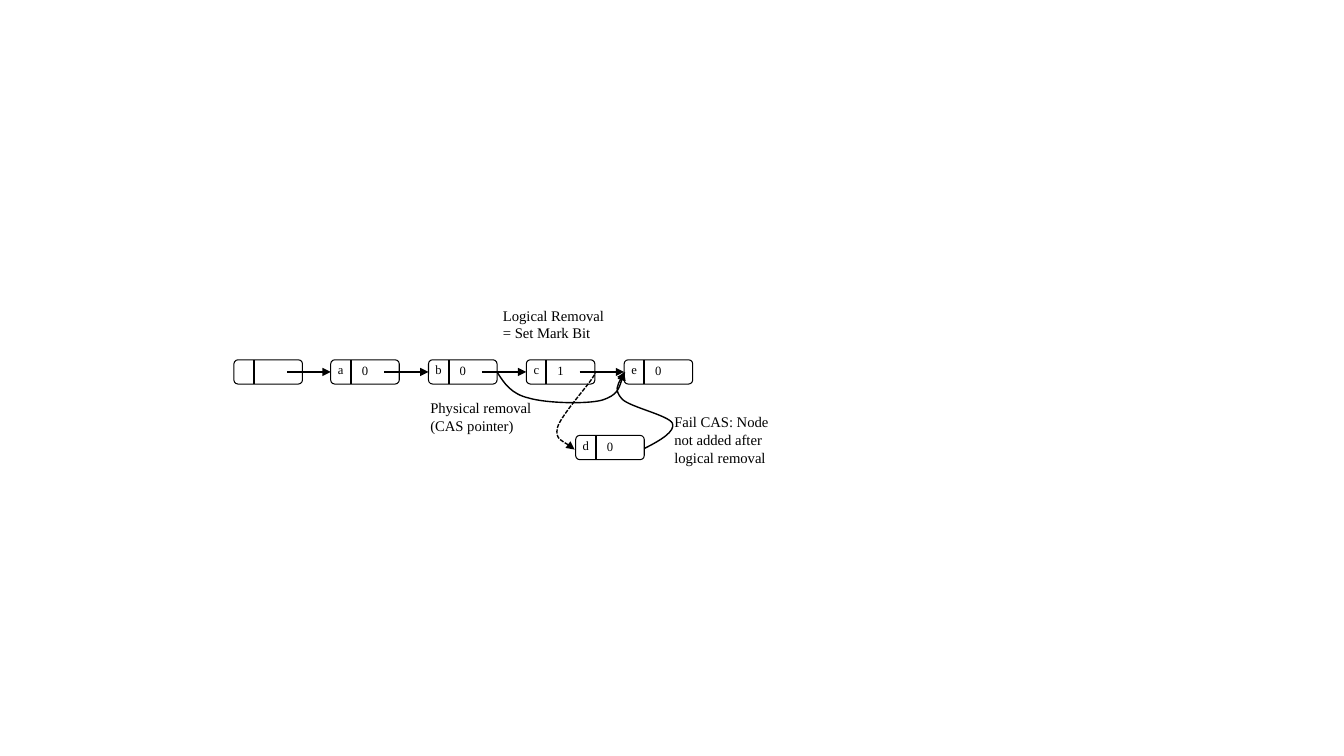
from lxml.etree import SubElement
from pptx import Presentation
from pptx.dml.color import RGBColor
from pptx.enum.dml import MSO_LINE as Dash
from pptx.enum.shapes import MSO_CONNECTOR as Link, MSO_SHAPE as Shape
from pptx.enum.text import MSO_ANCHOR as Anchor, PP_ALIGN as Align
from pptx.oxml import parse_xml
from pptx.oxml.ns import nsdecls, qn
from pptx.util import Pt

PX = 9144  # 100 px to the inch
BLACK = RGBColor(0, 0, 0)
FONT = "Times New Roman"
BOX_W, BOX_H, KEY_W = 68, 24, 20
ROW_Y, LOW_Y = 357, 432


def px(*sizes):
    return [size * PX for size in sizes]


def style(shape, width, dash=None, head=False):
    line = shape.line
    line.color.rgb = BLACK
    line.width = Pt(width)
    if dash:
        line.dash_style = dash
    props = shape.element.spPr
    if head:
        SubElement(props.find(qn("a:ln")), qn("a:tailEnd"), type="triangle")
    if props.find(qn("a:effectLst")) is None:
        SubElement(props, qn("a:effectLst"))


def add_text(shapes, text, box, size, cell=False):
    frame = shapes.add_textbox(*px(*box)).text_frame
    frame.word_wrap = not cell
    if cell:
        looks = {"margin_left": 0, "margin_right": 0, "margin_top": 0,
                 "margin_bottom": 0, "vertical_anchor": Anchor.MIDDLE}
        for name, value in looks.items():
            setattr(frame, name, value)
    para = frame.paragraphs[0]
    para.alignment = Align.CENTER if cell else Align.LEFT
    run = para.add_run()
    run.text = text
    for name, value in {"size": Pt(size), "name": FONT}.items():
        setattr(run.font, name, value)
    run.font.color.rgb = BLACK
    return run


def add_note(shapes, text, box):
    run = add_text(shapes, text, box, 10.5)
    # White highlight sits right after the text fill
    fill = run.font._element.find(qn("a:solidFill"))
    fill.addnext(parse_xml(
        f'<a:highlight {nsdecls("a")}><a:srgbClr val="FFFFFF"/></a:highlight>'))


def add_node(shapes, x, y, key="", mark=""):
    group = shapes.add_group_shape().shapes
    box = group.add_shape(Shape.ROUNDED_RECTANGLE, *px(x, y, BOX_W, BOX_H))
    box.shadow.inherit = False
    box.fill.background()
    style(box, 0.75)
    split = x + KEY_W
    rule = group.add_connector(Link.STRAIGHT, *px(split, y + BOX_H, split, y))
    style(rule, 1.5)
    if key:
        add_text(group, key, (x, y - 3, KEY_W, 25), 9, cell=True)
        add_text(group, mark, (split, y - 2, 28, 25), 9, cell=True)
    return box


def add_arrow(shapes, x, y, node):
    arrow = shapes.add_connector(Link.STRAIGHT, *px(x, y, x, y))
    arrow.end_connect(node, 1)
    style(arrow, 1.5, head=True)


def add_curve(shapes, start, points, dash=None):
    form = shapes.build_freeform(*start, scale=PX)
    form.add_line_segments(points, close=False)
    curve = form.convert_to_shape()
    # Each three line steps become one Bezier step
    steps = list(curve.element.iter(qn("a:lnTo")))
    for i in range(0, len(steps), 3):
        trio = steps[i:i + 3]
        bend = SubElement(trio[0].getparent(), qn("a:cubicBezTo"))
        for step in trio:
            bend.append(step[0])
            step.getparent().remove(step)
    curve.shadow.inherit = False
    curve.fill.background()
    style(curve, 1, dash, head=True)


def main():
    deck = Presentation()
    deck.slide_width, deck.slide_height = px(1333, 750)
    shapes = deck.slides.add_slide(deck.slide_layouts[6]).shapes

    # List nodes, evenly spaced, and the node being added
    cells = [("", ""), ("a", "0"), ("b", "0"), ("c", "1"), ("e", "0")]
    lefts = [232 + 387 * i // 4 for i in range(len(cells))]
    nodes = [add_node(shapes, x, ROW_Y, *cell)
             for x, cell in zip(lefts, cells)]
    add_node(shapes, 571, LOW_Y, "d", "0")

    # Next pointers
    for x, node in zip(lefts, nodes[1:]):
        add_arrow(shapes, x + 53, ROW_Y + BOX_H // 2, node)

    # Physical removal, old link to d, failed link from d
    add_curve(shapes, (493, 369), [
        (500, 380), (507, 391), (525, 395), (542, 400), (582, 401),
        (597, 397), (613, 392), (616, 380), (619, 369)])
    add_curve(shapes, (589, 370), [
        (591, 368), (593, 367), (587, 376), (581, 385), (556, 413),
        (553, 424), (550, 436), (567, 442), (570, 446)], Dash.SQUARE_DOT)
    add_curve(shapes, (639, 445), [
        (655, 437), (670, 428), (667, 420), (663, 412), (625, 404),
        (617, 396), (609, 387), (614, 378), (620, 369)])

    # Notes
    add_note(shapes, "Logical Removal = Set Mark Bit", (489, 299, 129, 45))
    add_note(shapes, "Physical removal (CAS pointer)", (417, 391, 133, 45))
    add_note(shapes, "Fail CAS: Node not added after logical removal",
             (659, 405, 114, 63))

    deck.save("out.pptx")


if __name__ == "__main__":
    main()
